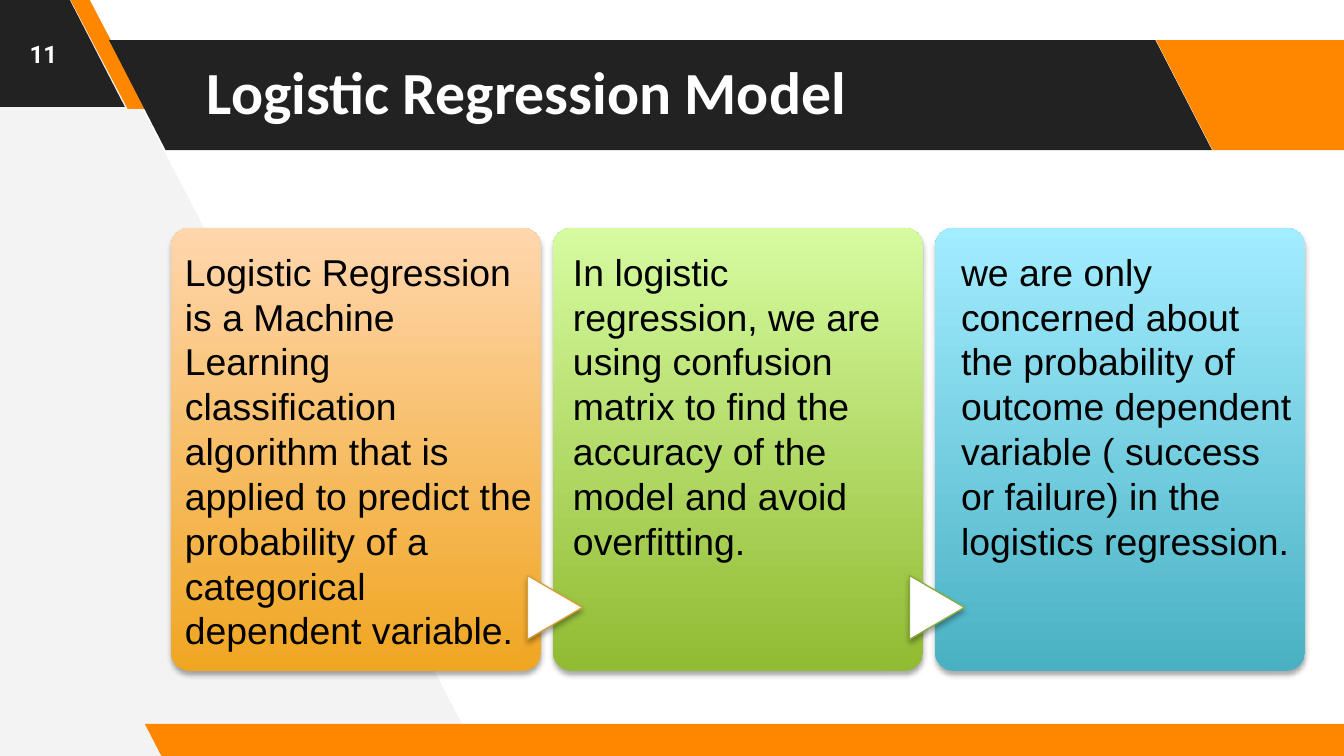
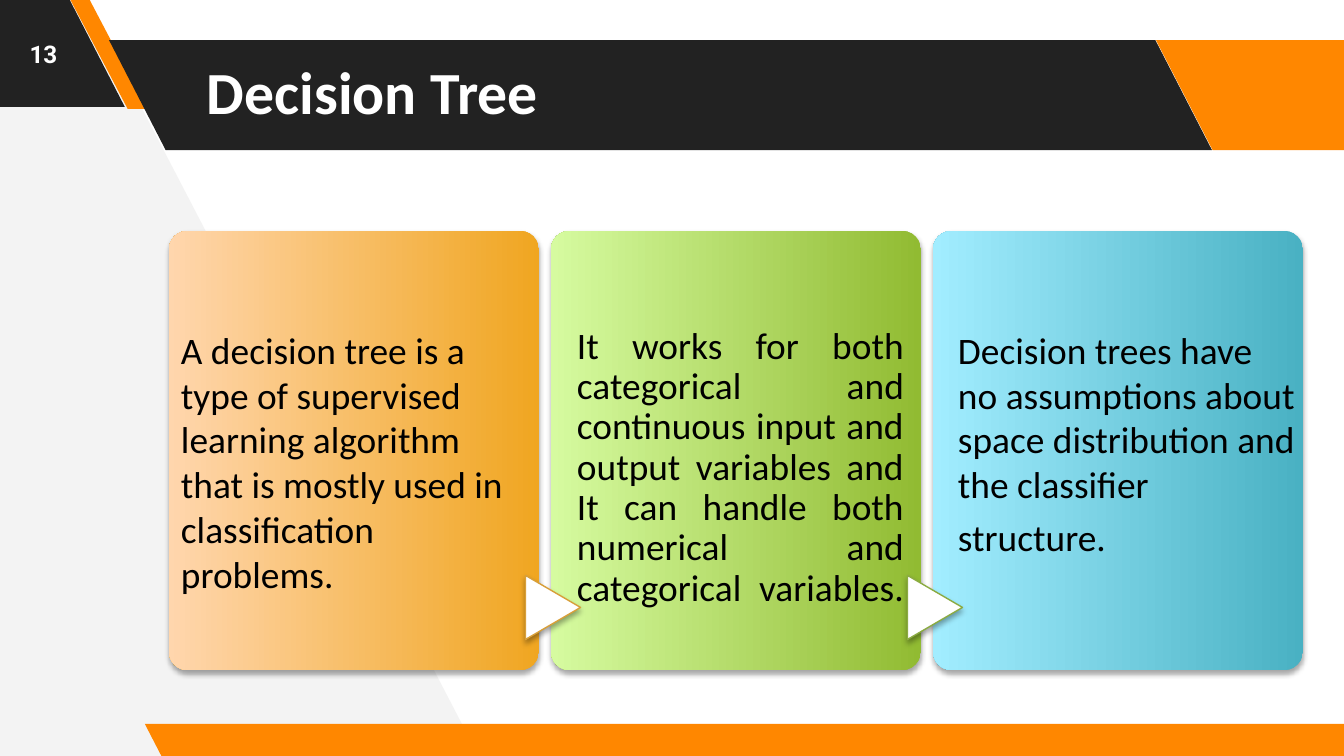
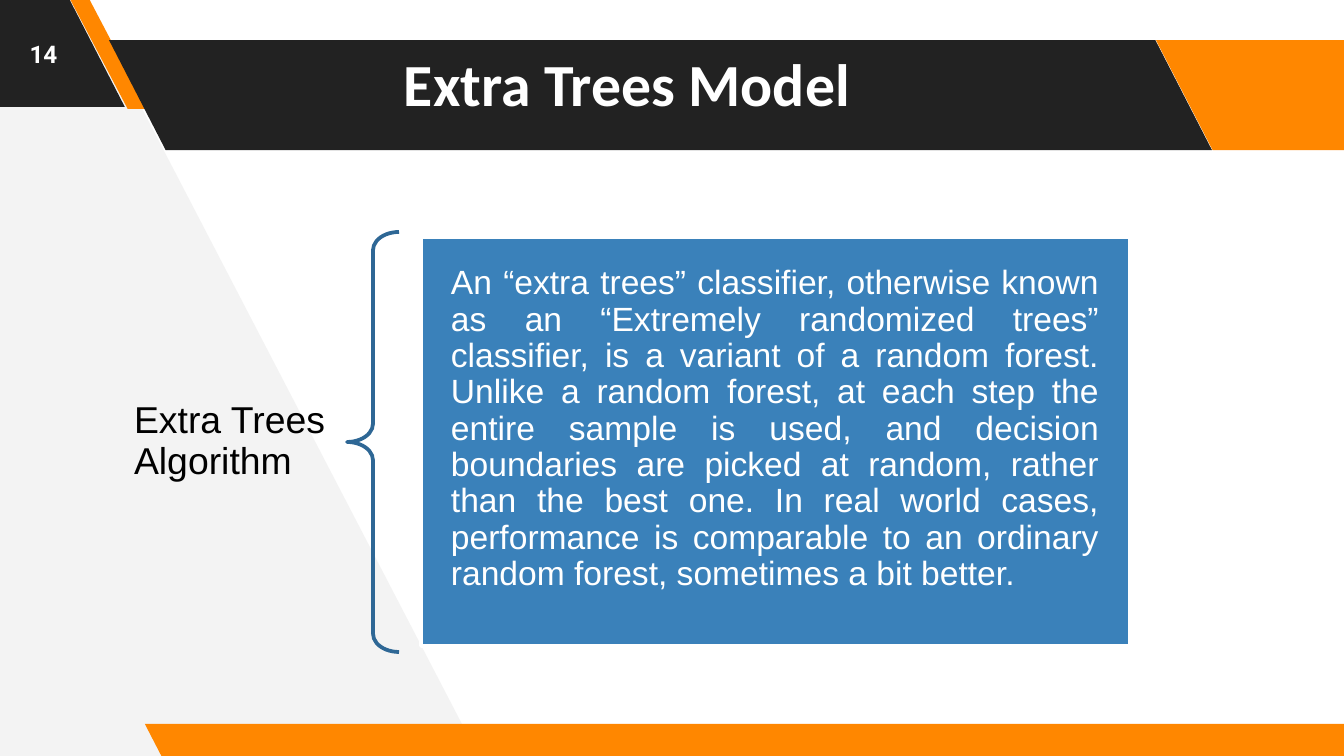
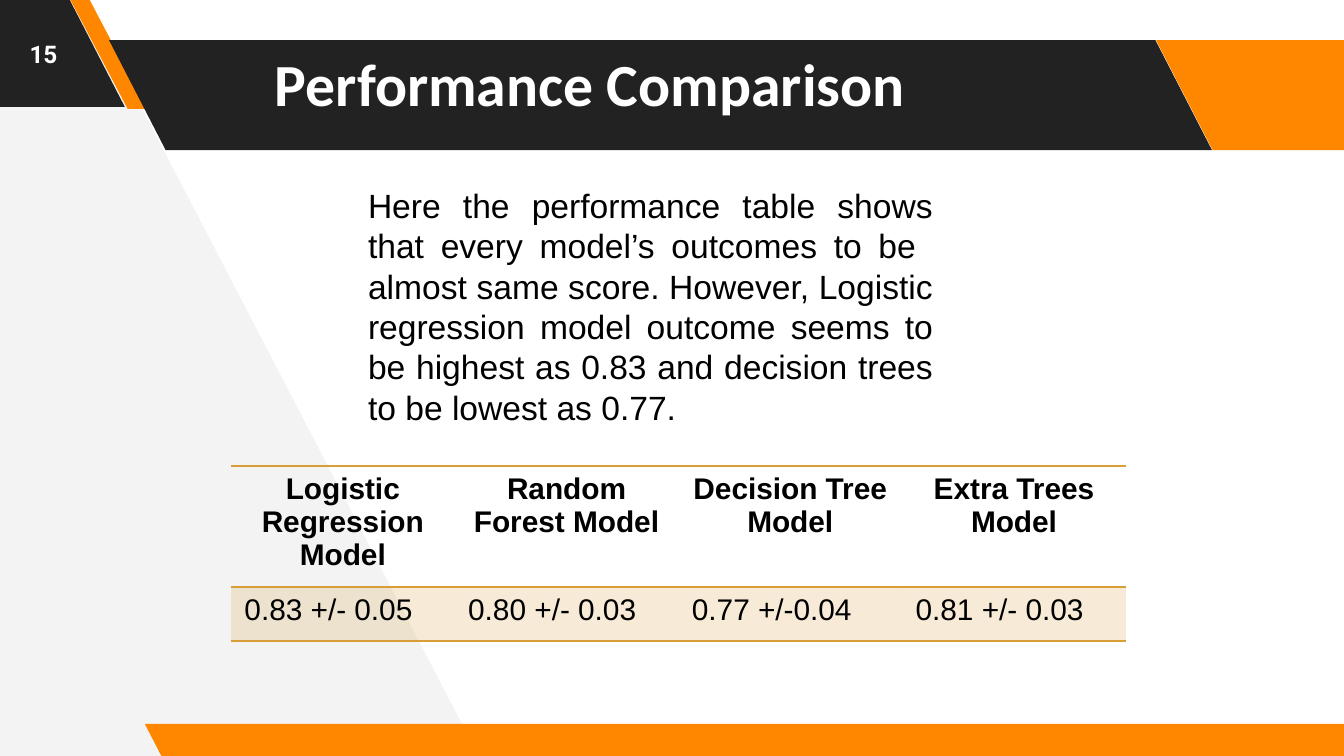
from dataclasses import dataclass

from lxml import etree
from pptx import Presentation
from pptx.dml.color import RGBColor
from pptx.enum import shapes, text
from pptx.oxml.ns import qn
from pptx.util import Emu, Pt

SCALE = 914400 / 134.4  # EMU in one px
GEO = shapes.MSO_SHAPE
LEFT, MID, JUST = text.PP_ALIGN.LEFT, text.PP_ALIGN.CENTER, text.PP_ALIGN.JUSTIFY


@dataclass(frozen=True)
class Theme:
    dark: str = "222222"
    orange: str = "FF8700"
    pale: str = "F3F3F3"
    white: str = "FFFFFF"
    black: str = "000000"
    blue: str = "3A81BA"
    navy: str = "2E6795"
    gold: str = "D89F39"
    olive: str = "8BAB42"
    cards: tuple = (("F0A621", "FFD6AD"), ("91BB32", "D6FBA0"), ("49B1C3", "A2EDFF"))
    sans: str = "Arial"
    head: str = "Calibri"
    num: str = "Roboto"
    title: int = 32
    body: int = 20
    note: int = 18
    cell: int = 16
    page: int = 13


def px(n):
    return Emu(round(n * SCALE))


def rgb(code):
    return RGBColor.from_string(code)


def sub(node, tag, **attrs):
    """Append an XML child such as a:ln, with its attributes."""
    kid = etree.SubElement(node, qn(tag))
    for key, val in attrs.items():
        kid.set(key, str(val))
    return kid


class Deck:
    def __init__(self, theme):
        self.t = theme
        self.prs = Presentation()
        self.prs.slide_width, self.prs.slide_height = px(1344), px(756)
        self.page = None

    def slide(self, num, title, box):
        self.page = self.prs.slides.add_slide(self.prs.slide_layouts[6]).shapes
        self.bands()
        t = self.t
        self.text((0, 0, 87, 108), [(num, t.num, t.page, t.white, True)], MID,
                  anchor=text.MSO_ANCHOR.MIDDLE, pad=(13, 13))
        self.text(box, [(title, t.head, t.title, t.white, True)])

    def bands(self):
        t = self.t
        path = self.page.build_freeform(478, 755, SCALE)
        path.add_line_segments([(83, -5), (-8, -5), (-3, 761)])
        self.paint(path.convert_to_shape(), t.pale)
        for box, adj, fill in (
            ((-133, -3, 258, 110), 0.515, t.dark),
            ((70, -1, 77, 110), 0.75, t.orange),
            ((109, 40, 1103, 110), 0.515, t.dark),
            ((1156, 40, 258, 110), 0.515, t.orange),
            ((145, 724, 1230, 34), 0.515, t.orange),
        ):
            band = self.shape(GEO.PARALLELOGRAM, box, fill, adj=(adj,))
            band._element.spPr.find(qn("a:xfrm")).set("flipH", "1")

    def paint(self, item, fill=None, line=None, width=1):
        item.shadow.inherit = False
        if fill:
            item.fill.solid()
            item.fill.fore_color.rgb = rgb(fill)
        else:
            item.fill.background()
        if line:
            item.line.color.rgb = rgb(line)
            item.line.width = Pt(width)
        else:
            item.line.fill.background()

    def shape(self, kind, box, fill=None, line=None, width=1, adj=()):
        item = self.page.add_shape(kind, *map(px, box))
        for i, val in enumerate(adj):
            item.adjustments[i] = val
        self.paint(item, fill, line, width)
        return item

    def shade(self, item):
        """Give the shape a soft shadow below it."""
        fx = item._element.spPr.find(qn("a:effectLst"))
        drop = sub(fx, "a:outerShdw", blurRad=Pt(3.1), dist=Pt(1.8),
                   dir=5400000, rotWithShape=0)
        sub(sub(drop, "a:srgbClr", val=self.t.black), "a:alpha", val=35000)

    def card(self, box, tones, angle):
        item = self.shape(GEO.ROUNDED_RECTANGLE, box, adj=(0.05,))
        item.fill.gradient()
        item.fill.gradient_angle = angle
        for stop, tone in zip(item.fill.gradient_stops, tones):
            stop.color.rgb = rgb(tone)
        self.shade(item)

    def arrow(self, x, y, line):
        item = self.shape(GEO.FLOWCHART_EXTRACT, (x, y, 64, 55), self.t.white, line, 0.75)
        item.rotation = 90
        self.shade(item)

    def cards(self, x, y, high, angle):
        """Three gradient cards in a row, with an arrow over each gap."""
        step = 382
        for i, tones in enumerate(self.t.cards):
            self.card((x + i * step, y, 370, high), tones, angle)
            if i:
                self.arrow(x + 352 + (i - 1) * step, 580, (self.t.gold, self.t.olive)[i - 1])

    def runs(self, para, runs):
        for words, font, size, color, bold in runs:
            for i, part in enumerate(words.split("\n")):
                if i:
                    para.add_line_break()
                if not part:
                    continue
                run = para.add_run()
                run.text = part
                run.font.name, run.font.size, run.font.bold = font, Pt(size), bold
                run.font.color.rgb = rgb(color)

    def text(self, box, runs, align=LEFT, space=None, indent=0,
             anchor=text.MSO_ANCHOR.TOP, pad=(13, 7)):
        frame = self.page.add_textbox(*map(px, box)).text_frame
        frame.word_wrap = True
        frame.vertical_anchor = anchor
        frame.margin_left = frame.margin_right = px(pad[0])
        frame.margin_top = frame.margin_bottom = px(pad[1])
        para = frame.paragraphs[0]
        para.alignment = align
        if space:
            para.line_spacing = space
        if indent:
            para._p.get_or_add_pPr().set("marL", str(px(indent)))
        self.runs(para, runs)

    def edge(self, cell, sides):
        """Draw the named sides of a cell and clear the others."""
        props = cell._tc.get_or_add_tcPr()
        for i, side in enumerate("LRTB"):
            line = etree.Element(qn("a:ln" + side), w=str(Pt(1)))
            if side in sides:
                sub(sub(line, "a:solidFill"), "a:srgbClr", val=self.t.gold)
            else:
                sub(line, "a:noFill")
            props.insert(i, line)

    def table(self, box, rows, highs):
        t = self.t
        grid = self.page.add_table(len(rows), len(rows[0]), *map(px, box)).table
        grid.first_row = grid.horz_banding = False
        for r, row in enumerate(rows):
            grid.rows[r].height = px(highs[r])
            for c, words in enumerate(row):
                cell = grid.cell(r, c)
                para = cell.text_frame.paragraphs[0]
                para.alignment = LEFT if r else MID
                self.runs(para, [(words, t.sans, t.cell, t.black, not r)])
                if r:
                    cell.fill.solid()
                    cell.fill.fore_color.rgb = rgb(t.gold)
                    tint = cell._tc.tcPr.find(".//" + qn("a:srgbClr"))
                    sub(tint, "a:alpha", val=20000)
                else:
                    cell.fill.background()
                self.edge(cell, "TB")


def logistic(deck):
    t = deck.t
    deck.slide("11", "Logistic Regression Model", (194, 48, 849, 86))
    deck.cards(171, 228, 443, 90)
    for box, words in (
        ((167, 242, 394, 453), "Logistic Regression is a Machine Learning classification "
         "algorithm that is applied to predict the probability of a categorical "
         "dependent variable."),
        ((555, 242, 379, 362), "In logistic regression, we are using confusion matrix to "
         "find the accuracy of the model and avoid overfitting."),
        ((943, 242, 371, 331), "we are only concerned about the probability of outcome "
         "dependent variable ( success or failure) in the logistics regression."),
    ):
        deck.text(box, [(words, t.sans, t.body, t.black, False)], indent=5)


def tree(deck):
    t = deck.t
    deck.slide("13", "Decision Tree", (194, 48, 849, 86))
    deck.cards(169, 231, 439, 180)
    for box, words, align, space in (
        ((163, 320, 380, 285), "A decision tree is a type of supervised learning algorithm "
         "that is mostly used in classification problems.", LEFT, None),
        ((559, 320, 358, 371), "It works for both categorical and continuous input and "
         "output variables and It can handle both numerical and categorical variables.\n",
         JUST, 0.9),
        ((940, 320, 371, 294), "Decision trees have no assumptions about space "
         "distribution and the classifier structure. ", LEFT, None),
    ):
        runs = [(words, t.head, t.body, t.black, False)]
        if words.endswith(" "):
            runs.append((" ", t.head, 24, t.black, True))
        deck.text(box, runs, align, space, indent=5)


def extra(deck):
    t = deck.t
    deck.slide("14", "Extra Trees Model", (391, 40, 849, 86))
    deck.text((113, 232, 259, 420), [("Extra Trees Algorithm", t.sans, t.body, t.black, False)],
              space=0.9, anchor=text.MSO_ANCHOR.MIDDLE, pad=(21, 8))
    deck.shape(GEO.LEFT_BRACE, (347, 232, 52, 420), line=t.navy, width=2, adj=(0.35, 0.5))
    deck.shape(GEO.RECTANGLE, (421, 237, 709, 409), t.blue, t.white, 2)
    words = ("An “extra trees” classifier, otherwise known as an “Extremely randomized "
             "trees” classifier, is a variant of a random forest. Unlike a random forest, "
             "at each step the entire sample is used, and decision boundaries are picked "
             "at random, rather than the best one. In real world cases, performance is "
             "comparable to an ordinary random forest, sometimes a bit better.")
    deck.text((438, 259, 674, 343), [(words, t.sans, t.note, t.white, False)], JUST, 0.9)


def scores(deck):
    t = deck.t
    deck.slide("15", "Performance Comparison", (262, 40, 1039, 86))
    words = ("Here the performance table shows that every model’s outcomes to be  almost "
             "same score. However, Logistic regression model outcome seems to be highest "
             "as 0.83 and decision trees to be lowest as 0.77.")
    deck.text((355, 178, 591, 298), [(words, t.sans, t.note, t.black, False)], JUST)
    deck.table((231, 466, 895, 175), (
        ("Logistic Regression Model", "Random Forest Model",
         "Decision Tree Model", "Extra Trees Model"),
        ("0.83 +/- 0.05", "0.80 +/- 0.03", "0.77 +/-0.04", "0.81 +/- 0.03"),
    ), (121, 54))


def main():
    deck = Deck(Theme())
    for build in (logistic, tree, extra, scores):
        build(deck)
    deck.prs.save("out.pptx")


if __name__ == "__main__":
    main()
